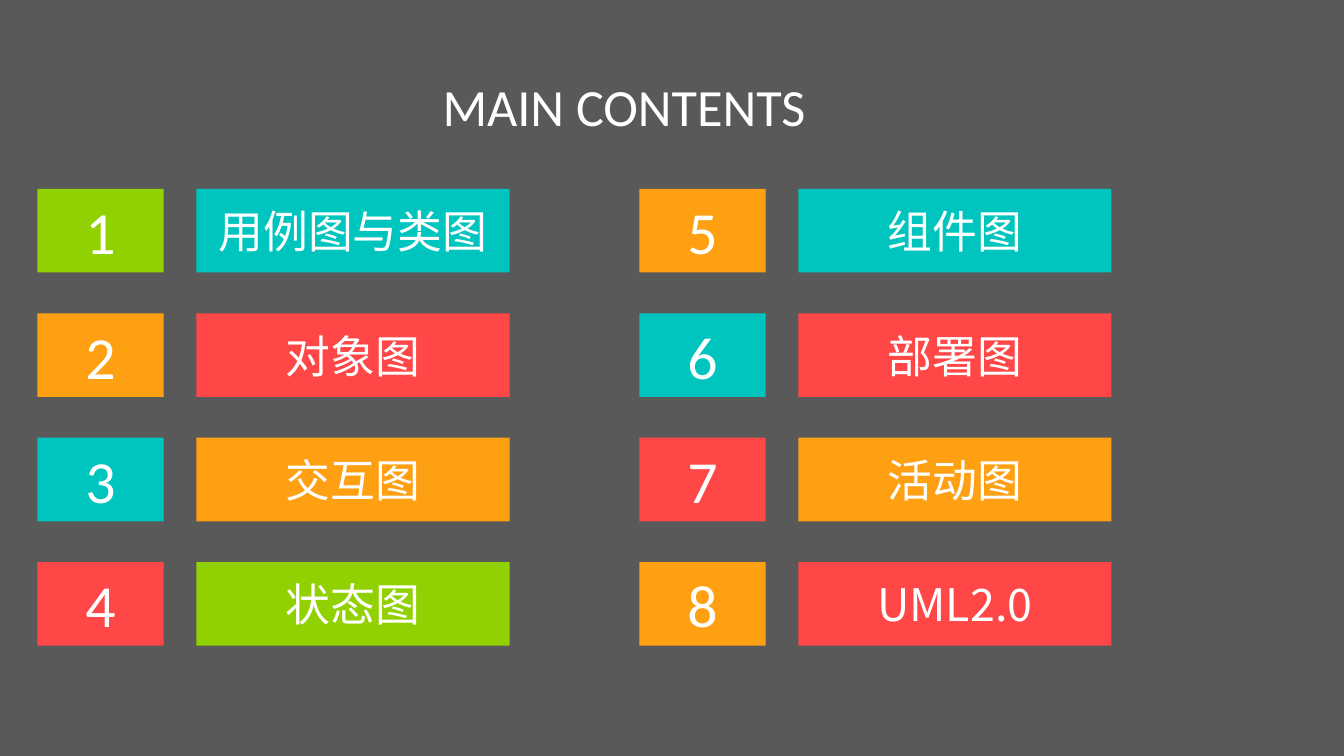
"""Build a contents slide with two columns of numbered topics."""
from dataclasses import dataclass

from lxml import etree
from pptx import Presentation
from pptx.dml.color import RGBColor
from pptx.enum.shapes import MSO_SHAPE
from pptx.enum.text import MSO_ANCHOR, MSO_AUTO_SIZE, PP_ALIGN
from pptx.oxml.ns import qn
from pptx.util import Pt

RECTANGLE = MSO_SHAPE.RECTANGLE
MIDDLE, CENTER = MSO_ANCHOR.MIDDLE, PP_ALIGN.CENTER
GROW = MSO_AUTO_SIZE.SHAPE_TO_FIT_TEXT

COLORS = {
    "background": "595959",
    "text": "FFFFFF",
    "green": "91D101",
    "teal": "00C5BE",
    "orange": "FFA013",
    "red": "FF4747",
}
FORMATS = {
    "title": {"size": Pt(28), "name": "Calibri"},
    "number": {"size": Pt(32), "name": "Calibri"},
    "label": {"size": Pt(24), "name": "Noto Sans CJK SC"},
}

SLIDE_WIDTH, SLIDE_HEIGHT = 720, 405
COLUMN_LEFTS = (20, 342.5)
ROWS_PER_COLUMN = 4
FIRST_TOP, ROW_PITCH = 101.2, 66.67
BAR_HEIGHT = 44.8
NUMBER_WIDTH, LABEL_WIDTH, LABEL_OFFSET = 67.7, 167.8, 85.2


@dataclass(frozen=True)
class Topic:
    """One contents entry with the colours of its two bars."""

    label: str
    number_color: str
    label_color: str


TOPICS = (
    Topic("用例图与类图", "green", "teal"),
    Topic("对象图", "orange", "red"),
    Topic("交互图", "teal", "orange"),
    Topic("状态图", "red", "green"),
    Topic("组件图", "orange", "teal"),
    Topic("部署图", "teal", "red"),
    Topic("活动图", "red", "orange"),
    Topic("UML2.0", "orange", "red"),
)


def write_text(para, text: str, style: str) -> None:
    """Add one styled span to a paragraph."""
    span = para.add_run()
    span.text = text
    for attribute, value in FORMATS[style].items():
        setattr(span.font, attribute, value)
    span.font.color.rgb = RGBColor.from_string(COLORS["text"])
    east_asian = etree.SubElement(span.font._element, qn("a:ea"))
    east_asian.set("typeface", FORMATS[style]["name"])


def add_bar(page, left: float, top: float, width: float, height: float, color: str):
    """Add a plain filled rectangle."""
    bar = page.shapes.add_shape(RECTANGLE, Pt(left), Pt(top), Pt(width), Pt(height))
    bar.shadow.inherit = False
    bar.fill.solid()
    bar.fill.fore_color.rgb = RGBColor.from_string(COLORS[color])
    bar.line.fill.background()
    return bar


def add_text_bar(page, left: float, top: float, width: float,
                 color: str, text: str, style: str) -> None:
    """Add a bar with centred text."""
    frame = add_bar(page, left, top, width, BAR_HEIGHT, color).text_frame
    frame.vertical_anchor = MIDDLE
    para = frame.paragraphs[0]
    para.alignment = CENTER
    write_text(para, text, style)


def add_title(page, text: str) -> None:
    """Add the heading of the slide."""
    box = page.shapes.add_textbox(Pt(230), Pt(36), Pt(289.5), Pt(41.2))
    box.text_frame.word_wrap = True
    box.text_frame.auto_size = GROW
    write_text(box.text_frame.paragraphs[0], text, "title")


def add_topic(page, index: int, topic: Topic) -> None:
    """Add the number and label bars of a topic at its grid place."""
    column, row = divmod(index, ROWS_PER_COLUMN)
    left, top = COLUMN_LEFTS[column], FIRST_TOP + row * ROW_PITCH
    add_text_bar(page, left, top, NUMBER_WIDTH, topic.number_color, str(index + 1), "number")
    add_text_bar(page, left + LABEL_OFFSET, top, LABEL_WIDTH, topic.label_color, topic.label, "label")


def main() -> None:
    """Create and save the deck."""
    deck = Presentation()
    deck.slide_width, deck.slide_height = Pt(SLIDE_WIDTH), Pt(SLIDE_HEIGHT)
    page = deck.slides.add_slide(deck.slide_layouts[6])
    add_bar(page, 0, 0, SLIDE_WIDTH, SLIDE_HEIGHT, "background")
    add_title(page, "MAIN CONTENTS")
    for index, topic in enumerate(TOPICS):
        add_topic(page, index, topic)
    deck.save("out.pptx")


if __name__ == "__main__":
    main()
